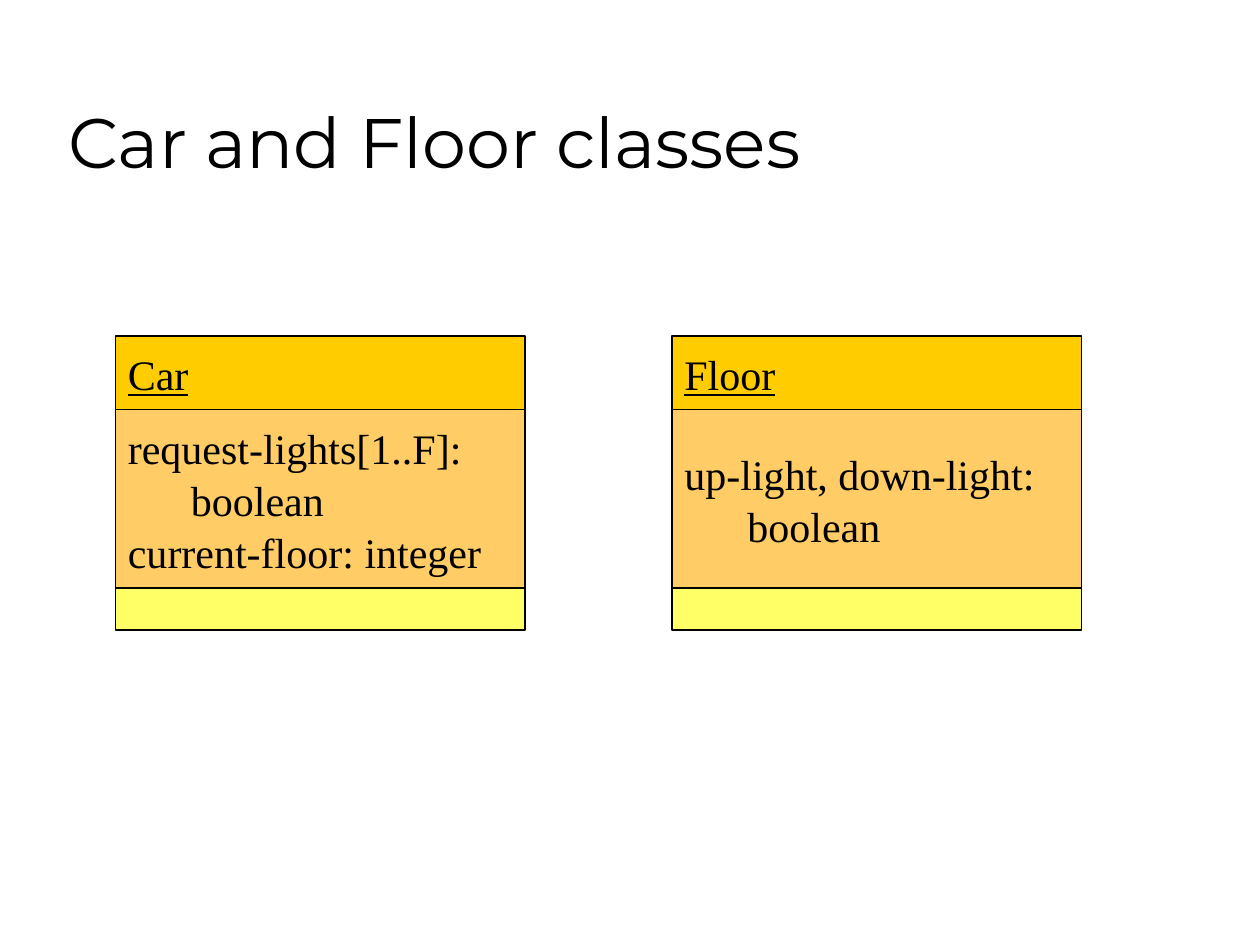
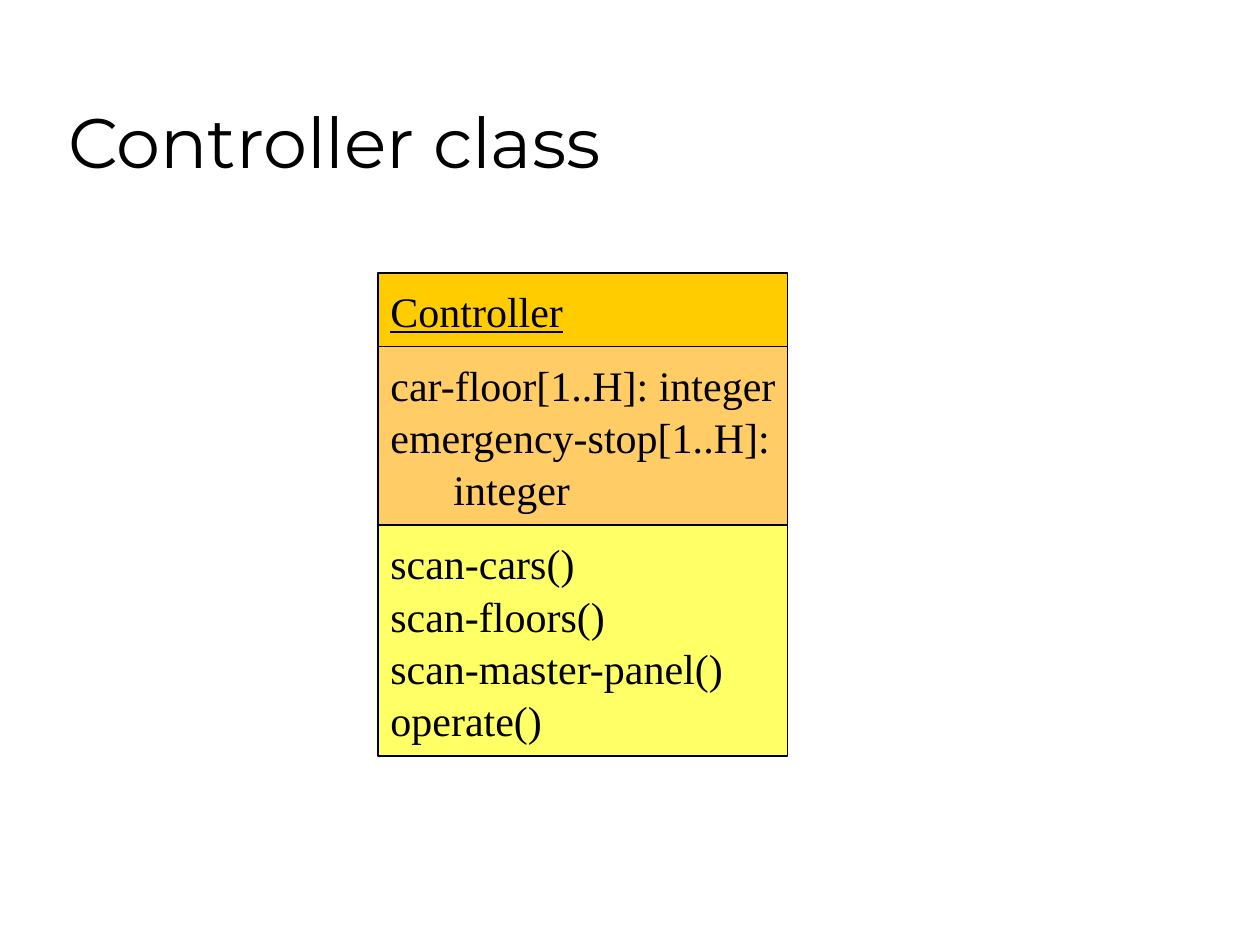
from pptx import Presentation
from pptx.dml.color import RGBColor
from pptx.enum.shapes import MSO_SHAPE
from pptx.enum.text import MSO_ANCHOR, PP_ALIGN
from pptx.util import Pt

PX = 914400 // 120
BLACK = RGBColor(0x00, 0x00, 0x00)
GOLD = RGBColor(0xFF, 0xCC, 0x00)
PEACH = RGBColor(0xFF, 0xCC, 0x66)
LEMON = RGBColor(0xFF, 0xFF, 0x66)
HEAD = "Montserrat"
BODY = "Times New Roman"


def write(frame, text, font=BODY, size=24, line=False, anchor=MSO_ANCHOR.MIDDLE, space=1.04):
    frame.word_wrap = True
    frame.vertical_anchor = anchor
    frame.margin_right = 0
    frame.text = text
    for para in frame.paragraphs:
        para.alignment = PP_ALIGN.LEFT
        para.line_spacing = space
        for run in para.runs:
            run.font.name = font
            run.font.size = Pt(size)
            run.font.underline = line
            run.font.color.rgb = BLACK


class Deck:
    wide = 390
    name_high = 70
    data_high = 170

    def __init__(self):
        self.prs = Presentation()
        self.prs.slide_width = 1200 * PX
        self.prs.slide_height = 900 * PX

    def page(self, title):
        self.slide = self.prs.slides.add_slide(self.prs.slide_layouts[6])
        box = self.slide.shapes.add_textbox(53 * PX, 30 * PX, 1020 * PX, 150 * PX)
        write(box.text_frame, title, font=HEAD, size=40, anchor=MSO_ANCHOR.BOTTOM, space=1.0)

    def cell(self, left, top, high, fill, text, **style):
        box = self.slide.shapes.add_shape(
            MSO_SHAPE.RECTANGLE, left * PX, top * PX, self.wide * PX, high * PX)
        box.shadow.inherit = False
        box.fill.solid()
        box.fill.fore_color.rgb = fill
        box.line.color.rgb = BLACK
        box.line.width = Pt(0.75)
        if text:
            write(box.text_frame, text, **style)

    def model(self, left, top, name, data, calls="", high=40):
        self.cell(left, top, self.name_high, GOLD, name, line=True)
        top += self.name_high
        self.cell(left, top, self.data_high, PEACH, data)
        self.cell(left, top + self.data_high, high, LEMON, calls)


def main():
    deck = Deck()
    deck.page("Car and Floor classes")
    deck.model(110, 320, "Car", "request-lights[1..F]:\n\tboolean\ncurrent-floor: integer")
    deck.model(640, 320, "Floor", "up-light, down-light:\n\tboolean")

    deck.page("Controller class")
    deck.model(360, 260, "Controller",
               "car-floor[1..H]: integer\nemergency-stop[1..H]:\n\tinteger",
               "scan-cars()\nscan-floors()\nscan-master-panel()\noperate()", high=220)
    deck.prs.save("out.pptx")


if __name__ == "__main__":
    main()
